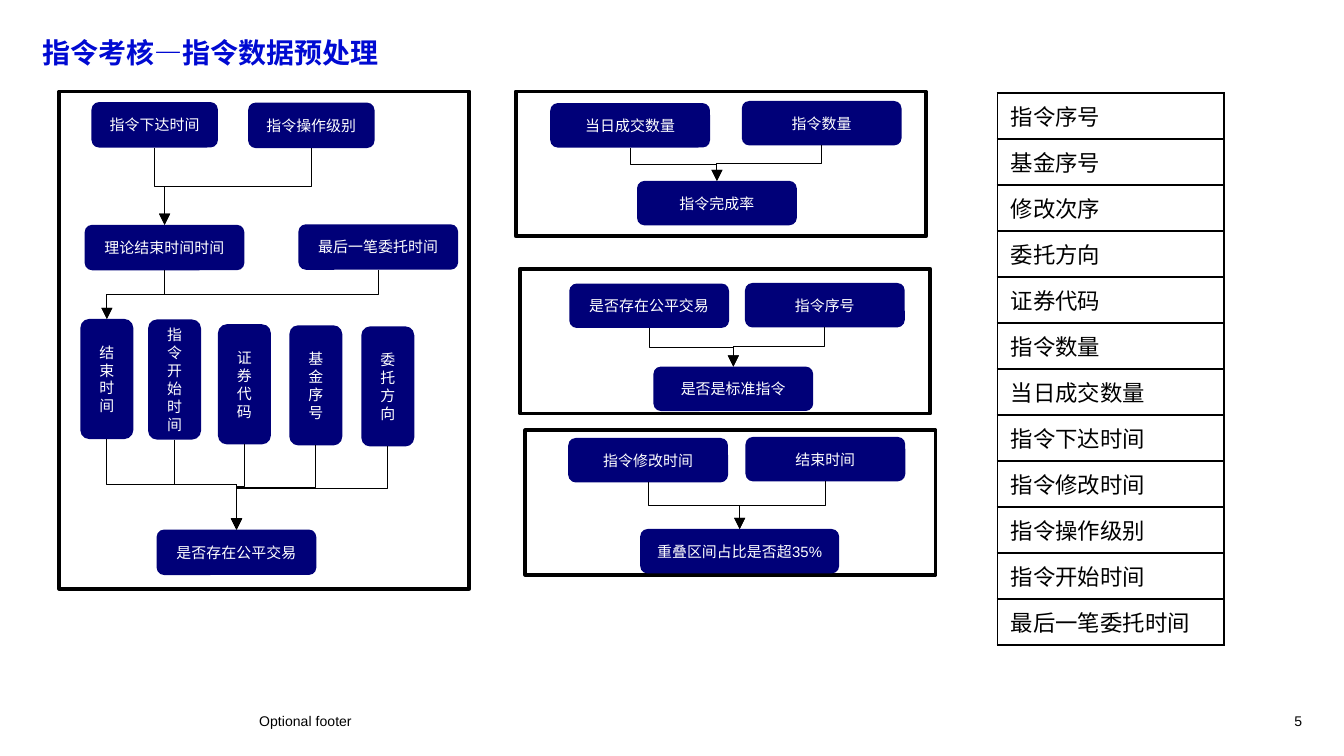
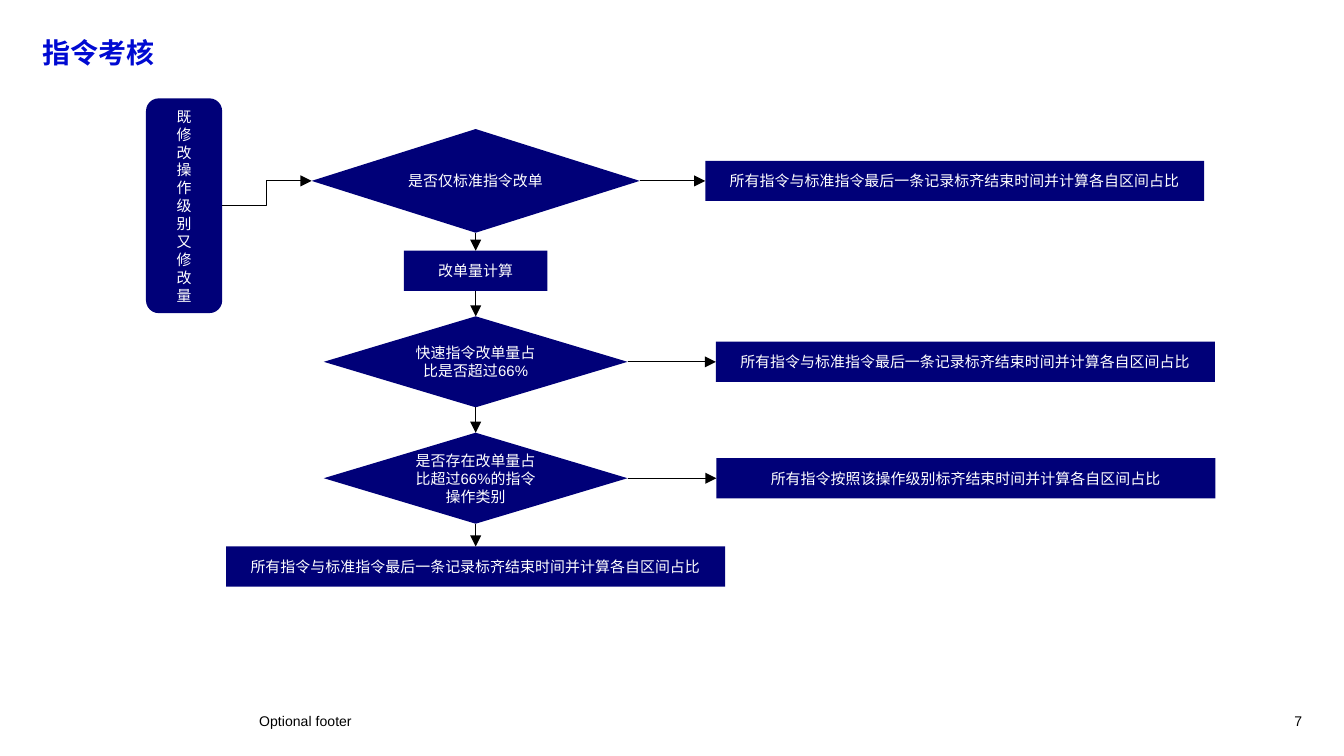
"""Builds two slides on trading-instruction assessment: data preprocessing and the decision flow."""
import pptx
import pptx.dml.color
import pptx.enum.shapes
import pptx.enum.text
import pptx.oxml.ns
import pptx.util
from lxml import etree

Cm = pptx.util.Cm
Pt = pptx.util.Pt
SHAPE = pptx.enum.shapes.MSO_SHAPE
CONNECTOR = pptx.enum.shapes.MSO_CONNECTOR
ALIGN = pptx.enum.text.PP_ALIGN
ANCHOR = pptx.enum.text.MSO_ANCHOR
qn = pptx.oxml.ns.qn

NAVY = pptx.dml.color.RGBColor(0x00, 0x00, 0x78)
TITLE_BLUE = pptx.dml.color.RGBColor(0x00, 0x0A, 0xD2)
BLACK = pptx.dml.color.RGBColor(0x00, 0x00, 0x00)
WHITE = pptx.dml.color.RGBColor(0xFF, 0xFF, 0xFF)
FONT = "Arial"
TOP, LEFT, BOTTOM, RIGHT = range(4)


def add_node(slide, preset, text, left, top, width, height):
    node = slide.shapes.add_shape(preset, Cm(left), Cm(top), Cm(width), Cm(height))
    node.shadow.inherit = False
    node.fill.solid()
    node.fill.fore_color.rgb = NAVY
    node.line.fill.background()
    frame = node.text_frame
    frame.word_wrap = True
    frame.vertical_anchor = ANCHOR.MIDDLE
    for number, line in enumerate(text.split("\n")):
        paragraph = frame.add_paragraph() if number else frame.paragraphs[0]
        paragraph.alignment = ALIGN.CENTER
        run = paragraph.add_run()
        run.text = line
        run.font.size = Pt(8)
        run.font.name = FONT
        run.font.color.rgb = WHITE
    return node


def add_arrow(slide, kind, source, source_site, target, target_site):
    arrow = slide.shapes.add_connector(kind, 0, 0, 0, 0)
    arrow.begin_connect(source, source_site)
    arrow.end_connect(target, target_site)
    if kind == CONNECTOR.ELBOW and source_site == BOTTOM:
        across = arrow.end_x - arrow.begin_x
        down = arrow.end_y - arrow.begin_y
        center_x = (arrow.begin_x + arrow.end_x) // 2
        center_y = (arrow.begin_y + arrow.end_y) // 2
        arrow.left, arrow.top = center_x - down // 2, center_y - abs(across) // 2
        arrow.width, arrow.height = down, abs(across)
        xfrm = arrow._element.spPr.find(qn("a:xfrm"))
        xfrm.set("rot", "16200000" if across > 0 else "5400000")
        xfrm.set("flipH", "1" if across > 0 else "0")
        xfrm.set("flipV", "0")
    arrow.line.color.rgb = BLACK
    arrow.line.width = Pt(0.5)
    properties = arrow._element.spPr
    etree.SubElement(properties.find(qn("a:ln")), qn("a:tailEnd"), type="triangle")
    etree.SubElement(properties, qn("a:effectLst"))


deck = pptx.Presentation()
deck.slide_width = Cm(25.4)
deck.slide_height = Cm(14.29)

slides = []
for heading, page in (("指令考核—指令数据预处理", "5"), ("指令考核", "7")):
    slide = deck.slides.add_slide(deck.slide_layouts[5])
    slides.append(slide)
    title = slide.shapes.title
    title.left, title.top, title.width, title.height = Cm(0.81), Cm(0.74), Cm(23.8), Cm(1.04)
    footer = slide.shapes.add_textbox(Cm(4.9), Cm(13.46), Cm(8.99), Cm(0.38))
    page_number = slide.shapes.add_textbox(Cm(23.62), Cm(13.46), Cm(0.99), Cm(0.38))
    for box, text, size, color, bold, align in (
        (title, heading, 15, TITLE_BLUE, True, ALIGN.LEFT),
        (footer, "Optional footer", 7.5, BLACK, False, ALIGN.LEFT),
        (page_number, page, 7.5, BLACK, False, ALIGN.RIGHT),
    ):
        frame = box.text_frame
        frame.margin_left = frame.margin_right = frame.margin_top = frame.margin_bottom = 0
        frame.word_wrap = True
        frame.auto_size = pptx.enum.text.MSO_AUTO_SIZE.NONE
        frame.vertical_anchor = ANCHOR.TOP
        paragraph = frame.paragraphs[0]
        paragraph.alignment = align
        run = paragraph.add_run()
        run.text = text
        run.font.size = Pt(size)
        run.font.name = FONT
        run.font.bold = bold
        run.font.color.rgb = color
    title.text_frame.paragraphs[0].line_spacing = 0.9

preprocessing, decisions = slides

for left, top, height in ((9.93, 8.13, 2.74), (9.83, 5.08, 2.74), (9.75, 1.73, 2.74), (1.12, 1.73, 9.4)):
    panel = preprocessing.shapes.add_shape(SHAPE.RECTANGLE, Cm(left), Cm(top), Cm(7.75), Cm(height))
    panel.shadow.inherit = False
    panel.fill.solid()
    panel.fill.fore_color.rgb = WHITE
    panel.line.color.rgb = BLACK
    panel.line.width = Pt(2)

fields = (
    "指令序号", "基金序号", "修改次序", "委托方向", "证券代码", "指令数量",
    "当日成交数量", "指令下达时间", "指令修改时间", "指令操作级别", "指令开始时间", "最后一笔委托时间",
)
field_table = preprocessing.shapes.add_table(
    len(fields), 1, Cm(18.85), Cm(1.76), Cm(4.28), Cm(0.78 * len(fields))
).table
field_table.first_row = False
field_table.horz_banding = False
for row, field in enumerate(fields):
    cell = field_table.cell(row, 0)
    cell.fill.background()
    run = cell.text_frame.paragraphs[0].add_run()
    run.text = field
    run.font.size = Pt(12)
    run.font.name = FONT
    run.font.color.rgb = BLACK
    cell_properties = cell._tc.get_or_add_tcPr()
    for position, edge in enumerate(("a:lnL", "a:lnR", "a:lnT", "a:lnB")):
        border = etree.Element(qn(edge), w=str(Pt(1)))
        border_fill = etree.SubElement(border, qn("a:solidFill"))
        etree.SubElement(border_fill, qn("a:srgbClr"), val=str(BLACK))
        cell_properties.insert(position, border)

issue_time, level, planned_end, last_order, fair_trade = [
    add_node(preprocessing, SHAPE.ROUNDED_RECTANGLE, text, left, top, width, 0.86)
    for text, left, top, width in (
        ("指令下达时间", 1.73, 1.93, 2.39),
        ("指令操作级别", 4.69, 1.94, 2.39),
        ("理论结束时间时间", 1.6, 4.25, 3.02),
        ("最后一笔委托时间", 5.64, 4.24, 3.02),
        ("是否存在公平交易", 2.96, 10.01, 3.02),
    )
]
criteria = [
    add_node(preprocessing, SHAPE.ROUNDED_RECTANGLE, text, left, top, 1.0, 2.27)
    for text, left, top in (
        ("\n".join("结束时间"), 1.52, 6.03),
        ("指令开始时间", 2.8, 6.04),
        ("证券代码", 4.12, 6.13),
        ("基金序号", 5.47, 6.15),
        ("委托方向", 6.83, 6.17),
    )
]
merges = [
    ((issue_time, level), planned_end),
    ((planned_end, last_order), criteria[0]),
    (criteria, fair_trade),
]
for inputs, (result, left, top, width) in (
    ((("指令数量", 14.02, 1.91), ("当日成交数量", 10.4, 1.95)), ("指令完成率", 12.04, 3.42, 3.02)),
    ((("是否存在公平交易", 10.76, 5.36), ("指令序号", 14.08, 5.35)), ("是否是标准指令", 12.35, 6.93, 3.02)),
    ((("指令修改时间", 10.74, 8.28), ("结束时间", 14.09, 8.26)), ("重叠区间占比是否超35%", 12.1, 10, 3.76)),
):
    sources = [add_node(preprocessing, SHAPE.ROUNDED_RECTANGLE, *source, 3.02, 0.84) for source in inputs]
    target = add_node(preprocessing, SHAPE.ROUNDED_RECTANGLE, result, left, top, width, 0.84)
    merges.append((sources, target))
for sources, target in merges:
    for source in sources:
        add_arrow(preprocessing, CONNECTOR.ELBOW, source, BOTTOM, target, TOP)

ALIGN_TO_LAST = "所有指令与标准指令最后一条记录标齐结束时间并计算各自区间占比"
FLOW_CENTER = 8.99
start = add_node(decisions, SHAPE.ROUNDED_RECTANGLE, "\n".join("既修改操作级别又修改量"), 2.76, 1.86, 1.44, 4.06)
flow = [
    add_node(decisions, preset, text, FLOW_CENTER - width / 2, top, width, height)
    for preset, text, top, width, height in (
        (SHAPE.DIAMOND, "是否仅标准指令改单", 2.44, 6.2, 1.96),
        (SHAPE.RECTANGLE, "改单量计算", 4.74, 2.71, 0.76),
        (SHAPE.DIAMOND, "快速指令改单量占比是否超过66%", 5.98, 5.74, 1.72),
        (SHAPE.DIAMOND, "是否存在改单量占比超过66%的指令操作类别", 8.18, 5.74, 1.72),
        (SHAPE.RECTANGLE, ALIGN_TO_LAST, 10.33, 9.43, 0.76),
    )
]
add_arrow(decisions, CONNECTOR.ELBOW, start, RIGHT, flow[0], LEFT)
for upper, lower in zip(flow, flow[1:]):
    add_arrow(decisions, CONNECTOR.STRAIGHT, upper, BOTTOM, lower, TOP)
for question, text, left, top in (
    (flow[0], ALIGN_TO_LAST, 13.33, 3.04),
    (flow[2], ALIGN_TO_LAST, 13.53, 6.46),
    (flow[3], "所有指令按照该操作级别标齐结束时间并计算各自区间占比", 13.54, 8.66),
):
    outcome = add_node(decisions, SHAPE.RECTANGLE, text, left, top, 9.43, 0.76)
    add_arrow(decisions, CONNECTOR.STRAIGHT, question, RIGHT, outcome, LEFT)

deck.save("out.pptx")
